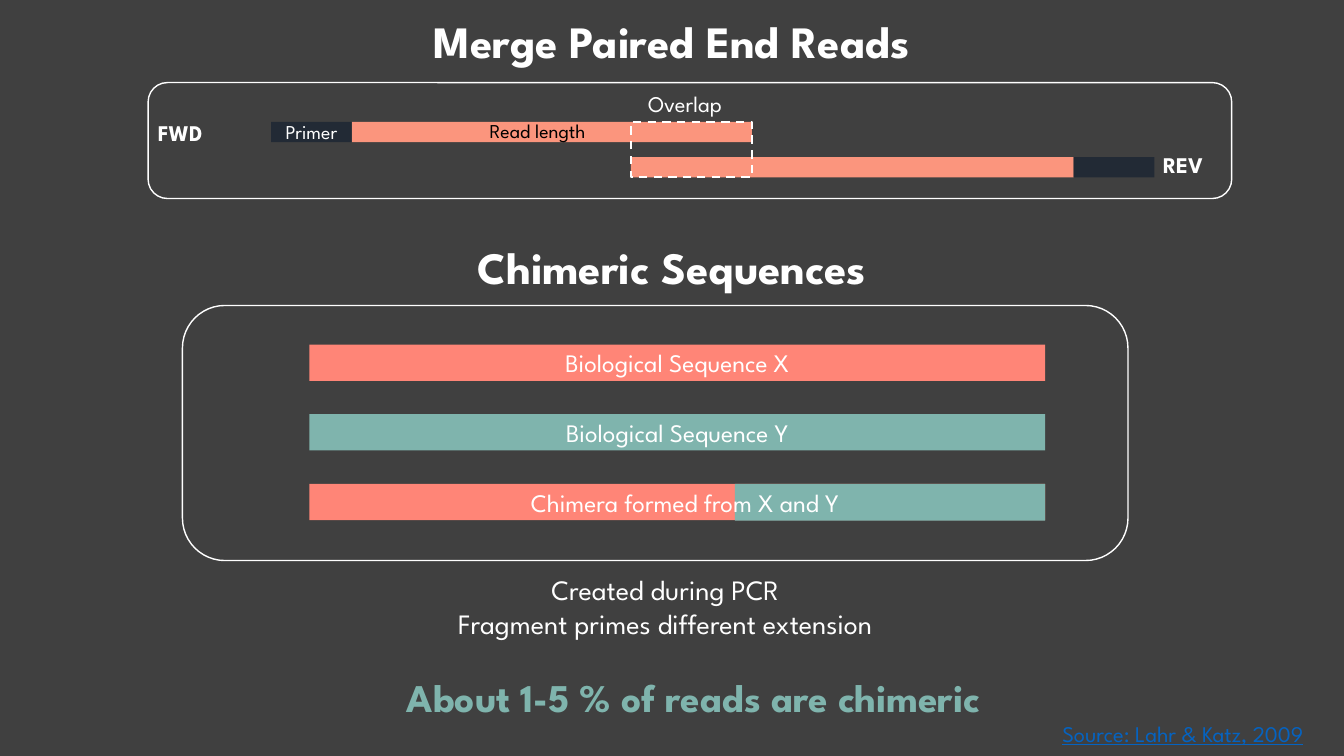
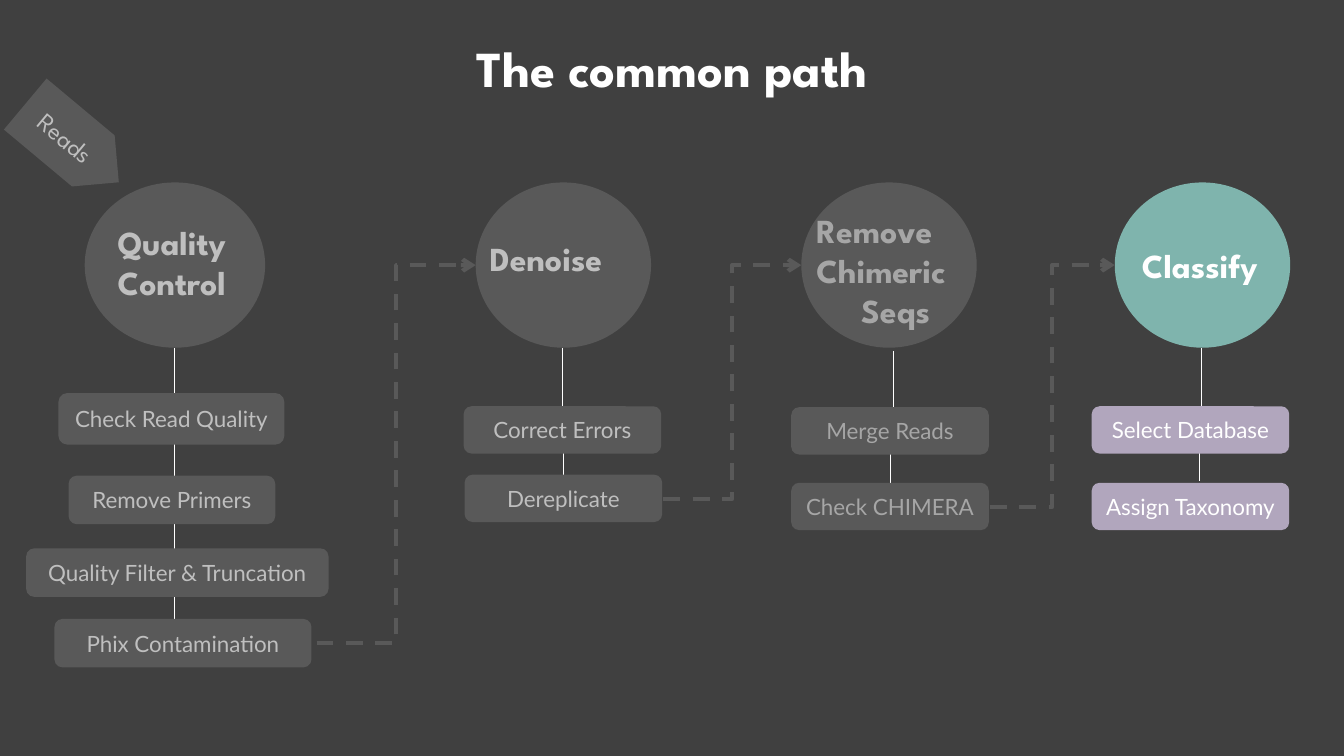
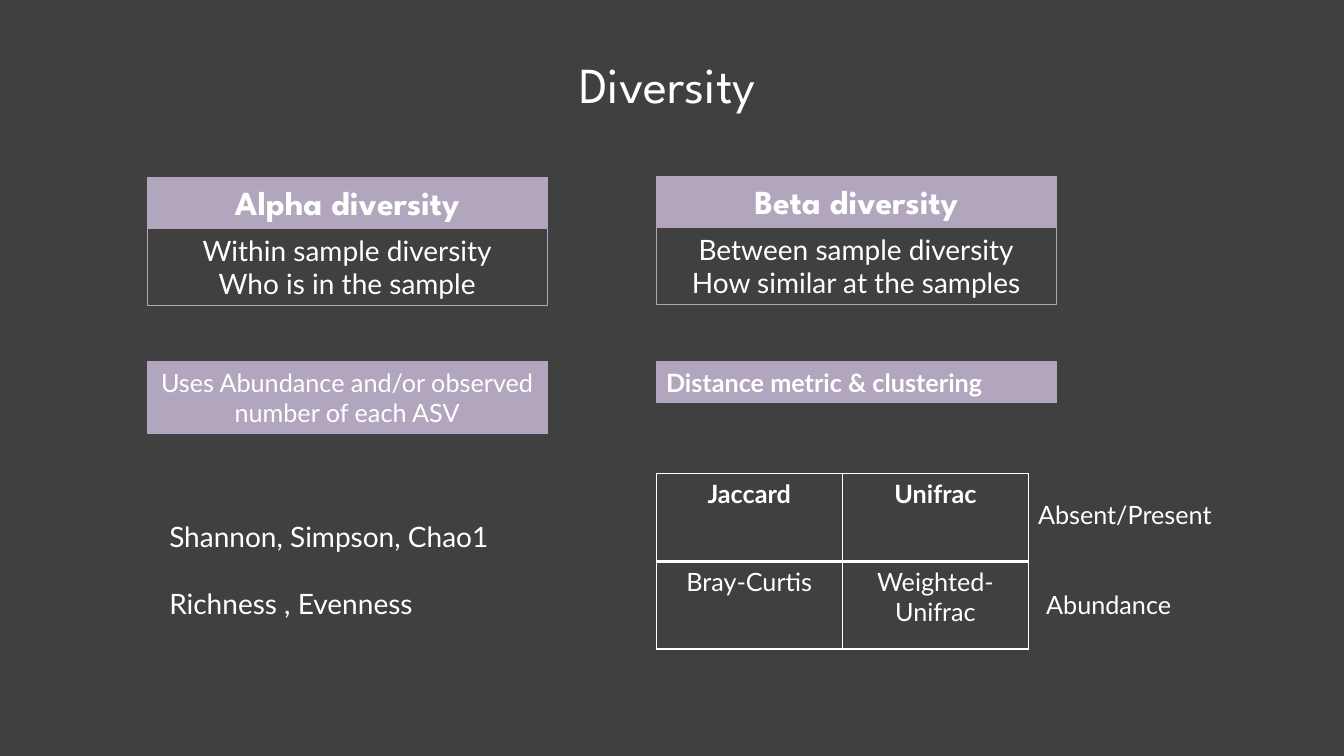
from pptx import Presentation
from pptx.dml.color import RGBColor
from pptx.enum.dml import MSO_LINE_DASH_STYLE as Dash
from pptx.enum.shapes import MSO_CONNECTOR as Link, MSO_SHAPE as Kind
from pptx.enum.text import MSO_ANCHOR as Anchor, PP_ALIGN as Align
from pptx.oxml.ns import qn
from pptx.util import Pt
from lxml.etree import SubElement

# Shared colours and text styles
BACK, WHITE, BLACK = "404040", "FFFFFF", "000000"
CORAL, SALMON, TEAL, NAVY = "FF8577", "FB957D", "7FB4AD", "222A35"
LILAC, GREY, PALE, DIM, BLUE = "B1A6BD", "595959", "BFBFBF", "A6A6A6", "0563C1"


def style(size, name="League Spartan", color=WHITE, **more):
    return {"size": Pt(size), "name": name, "color": color, **more}


def lato(size, color=WHITE, **more):
    return style(size, "Lato", color, **more)


def hue(code):
    return RGBColor.from_string(code)


# Building blocks
def paint(shape, fill=None, line=None, width=1, dash=None):
    if fill:
        shape.fill.solid()
        shape.fill.fore_color.rgb = hue(fill)
    else:
        shape.fill.background()
    if line:
        stroke(shape.line, line, width, dash)
    else:
        shape.line.fill.background()


def stroke(line, color, width, dash=None):
    line.color.rgb = hue(color)
    line.width = Pt(width)
    if dash:
        line.dash_style = dash


def write(frame, lines, look, align=Align.LEFT, gap=0):
    """Put one paragraph per line into the frame."""
    frame.word_wrap = True
    lines = [lines] if isinstance(lines, str) else lines
    for index, words in enumerate(lines):
        para = frame.paragraphs[0] if index == 0 else frame.add_paragraph()
        para.alignment = align
        if index and gap:
            para.space_before = Pt(gap)
        span = para.add_run()
        span.text = words
        for key, value in look.items():
            if key == "color":
                span.font.color.rgb = hue(value)
            else:
                setattr(span.font, key, value)


def add_text(page, box, lines, look, align=Align.LEFT, gap=0):
    label = page.shapes.add_textbox(*map(Pt, box))
    write(label.text_frame, lines, look, align, gap)
    return label


def add_box(page, box, lines=None, look=None, kind=Kind.RECTANGLE,
            align=Align.CENTER, anchor=Anchor.MIDDLE, **finish):
    shape = page.shapes.add_shape(kind, *map(Pt, box))
    shape.shadow.inherit = False
    paint(shape, **finish)
    if lines:
        shape.text_frame.vertical_anchor = anchor
        write(shape.text_frame, lines, look, align)
    return shape


def add_link(page, kind, ends, color, width, dash=None):
    link = page.shapes.add_connector(kind, *map(Pt, ends))
    stroke(link.line, color, width, dash)
    SubElement(link._element.spPr, qn("a:effectLst"))
    return link


def add_stem(page, x1, y1, x2, y2):
    """Draw a line downwards, with a small sideways step if x changes."""
    if x1 == x2:
        add_link(page, Link.STRAIGHT, (x1, y1, x2, y2), WHITE, 0.5)
        return
    mid_x, mid_y = (x1 + x2) / 2, (y1 + y2) / 2
    half_x, half_y = (x2 - x1) / 2, (y2 - y1) / 2
    ends = mid_x - half_y, mid_y + half_x, mid_x + half_y, mid_y - half_x
    stem = add_link(page, Link.ELBOW, ends, WHITE, 0.5)
    stem._element.spPr.find(qn("a:xfrm")).set("rot", "5400000")


def add_arrow(page, ends):
    arrow = add_link(page, Link.ELBOW, ends, GREY, 3, Dash.DASH)
    SubElement(arrow.line._get_or_add_ln(), qn("a:tailEnd"), type="arrow")


def add_title(page, top, words, size=32):
    add_text(page, (0, top, 960, 46), words, style(size, bold=True), Align.CENTER)


def new_page(deck):
    return deck.slides.add_slide(deck.slide_layouts[6])


# Slide 1: merging and chimeras
def merge_panel(page, left, top, width, height):
    forward, reverse, bar = top + 28.1, top + 53.3, 14.4
    add_box(page, (left, top, width, height), kind=Kind.ROUNDED_RECTANGLE, line=WHITE)
    bars = [(145.5, forward, 285.8, SALMON), (344.9, reverse, 30.8, SALMON),
            (375.7, reverse, 30.8, SALMON), (406.5, reverse, 254.7, SALMON),
            (661.2, reverse, 57.6, NAVY)]
    for x, y, length, color in bars:
        add_box(page, (left + x, y, length, bar), fill=color)
    add_box(page, (left + 87.9, forward, 57.6, bar), "Primer", style(14), fill=NAVY)
    labels = [("Overlap", 350, 2.2, 86.4, style(16)),
              ("Read length", 236.9, 22.4, 113, style(14, color=BLACK)),
              ("FWD", 0, 22.4, 59.8, style(16, bold=True)),
              ("REV", 717.9, 45.4, 59.8, style(16, bold=True))]
    for words, x, y, length, look in labels:
        add_text(page, (left + x, top + y, length, 26.6), words, look)
    add_box(page, (left + 344.9, forward, 86.4, reverse + bar - forward),
            line=WHITE, width=1.5, dash=Dash.DASH)


def chimera_panel(page, left, top, width, height):
    add_box(page, (left, top, width, height), kind=Kind.ROUNDED_RECTANGLE, line=WHITE)
    bars = [("Biological Sequence X", CORAL), ("Biological Sequence Y", TEAL), (None, CORAL)]
    for row, (words, color) in enumerate(bars):
        y = top + 28 + row * 49.7
        add_box(page, (left + 90.7, y, 525.6, 25.9), words, style(18), fill=color)
    add_box(page, (left + 394.6, y, 221.7, 26.4), fill=TEAL)
    add_text(page, (left + 241.9, top + 126, 278, 28.8),
             "Chimera formed from X and Y", style(18))


def chimera_slide(deck):
    page = new_page(deck)
    add_title(page, 6.5, "Merge Paired End Reads")
    merge_panel(page, 105.8, 59, 774, 82.8)
    add_title(page, 167.8, "Chimeric Sequences")
    chimera_panel(page, 130.3, 218.2, 675.4, 182.2)
    add_text(page, (144.7, 405.4, 661, 55.4),
             ["Created during PCR", "Fragment primes different extension"],
             style(20), Align.CENTER)
    add_text(page, (130.3, 477.4, 730, 41), "About 1-5 % of reads are chimeric",
             style(28, color=TEAL, bold=True), Align.CENTER)
    add_text(page, (751.7, 511.2, 206, 26.6), "Source: Lahr & Katz, 2009",
             style(16, color=BLUE, underline=True))


# Slide 2: the pipeline; every place is relative to the circle
def stage(page, left, top, width, stem, name, name_box, steps,
          circle=GREY, fill=GREY, ink=PALE):
    start_x, start_y, end_x, end_y = stem
    add_stem(page, left + start_x, top + start_y, left + end_x, top + end_y)
    add_box(page, (left, top, width, 118.1), kind=Kind.OVAL, fill=circle)
    x, y, *size = name_box
    label = add_text(page, (left + x, top + y, *size), name, style(24, color=ink, bold=True))
    for words, x, y, *size in steps:
        add_box(page, (left + x, top + y, *size), words, lato(16, ink),
                Kind.ROUNDED_RECTANGLE, fill=fill)
    return label


def path_slide(deck):
    page = new_page(deck)
    top, small = 130.3, (141.1, 33.8)
    add_title(page, 23, "The common path", 36)
    stage(page, 60.5, top, 128.9, (64.1, 118.1, 64.1, 311.8),
          ["Quality", "Control"], (16.5, 24.5, 100, 65.5),
          [("Check Read Quality", -18.7, 150.5, 161.3, 36.7),
           ("Remove Primers", -11.5, 209.5, 147.6, 34.6),
           ("Quality Filter & Truncation", -41.8, 261.4, 216, 34.6),
           ("Phix Contamination", -21.6, 311.8, 183.6, 34.6)])
    stage(page, 339.8, top, 125.3, (62, 118.1, 62.7, 208.8),
          "Denoise", (2.9, 36, 122.4, 36),
          [("Correct Errors", -8.6, 159.9, *small), ("Dereplicate", -7.9, 208.8, *small)])
    remove = stage(page, 572.4, top, 125.3, (65.5, 120.3, 63.7, 214.6),
                   ["Remove Chimeric", "Seqs"], (3.6, 15.9, 123.1, 94.3),
                   [("Merge Reads", -7.2, 160.6, *small),
                    ("Check CHIMERA", -7.2, 214.6, *small)], ink=DIM)
    remove.text_frame.paragraphs[1]._p.get_or_add_pPr().set("marL", str(Pt(32)))
    stage(page, 796.3, top, 125.3, (61.9, 118.1, 60.5, 213.1),
          "Classify", (12.3, 41.1, 107.3, 36),
          [("Select Database", -16.5, 159.9, *small),
           ("Assign Taxonomy", -16.5, 214.6, *small)],
          circle=TEAL, fill=LILAC, ink=WHITE)
    reads = add_box(page, (7.9, 78.5, 87.1, 47.5), "Reads", style(18, color=PALE),
                    Kind.PENTAGON, fill=GREY)
    reads.rotation = 39.9
    for x1, y1, x2 in [(226.1, 459.4, 339.8), (473.8, 356.4, 572.4), (707, 362.2, 796.3)]:
        add_arrow(page, (x1, y1, x2, 189.4))


# Slide 3: diversity measures
def diversity_card(page, left, top, width, heading, lines):
    frame = {"anchor": Anchor.TOP, "line": LILAC, "width": 0.75}
    add_box(page, (left, top + 36.3, width, 55.4), lines, lato(20), **frame)
    add_box(page, (left, top, width, 36), heading, style(24, bold=True), fill=LILAC, **frame)


def method_bar(page, left, top, width, height, words, look, align):
    add_box(page, (left, top, width, height), words, look, align=align,
            anchor=Anchor.TOP, fill=LILAC, line=LILAC, width=0.75)


def metric_table(page, left, top, width, height):
    rows = [["Jaccard", "Unifrac"], ["Bray-Curtis", "Weighted- Unifrac"]]
    table = page.shapes.add_table(2, 2, *map(Pt, (left, top, width, height))).table
    table.first_row = table.horz_banding = False
    for r, row in enumerate(rows):
        for c, words in enumerate(row):
            cell = table.cell(r, c)
            write(cell.text_frame, words, lato(18, bold=r == 0), Align.CENTER)
            borders = {"lnL": 1, "lnR": 1, "lnT": 3 if r else 1, "lnB": 1 if r else 3}
            for side, weight in borders.items():
                edge = SubElement(cell._tc.get_or_add_tcPr(), qn("a:" + side), w=str(Pt(weight)))
                SubElement(SubElement(edge, qn("a:solidFill")), qn("a:srgbClr"), val=WHITE)
            cell.fill.background()


def diversity_slide(deck):
    page = new_page(deck)
    alpha, beta, width = 105.1, 468.7, 285.8
    add_text(page, (406.8, 34.6, 163.4, 51), "Diversity", style(36))
    diversity_card(page, alpha, 126.7, width, "Alpha diversity",
                   ["Within sample diversity", "Who is in the sample"])
    diversity_card(page, beta, 126, width, "Beta diversity",
                   ["Between sample diversity", "How similar at the samples"])
    method_bar(page, alpha, 258.5, width, 51,
               "Uses Abundance and/or observed number of each ASV", lato(18), Align.CENTER)
    method_bar(page, beta, 258.5, width, 29,
               "Distance metric & clustering", lato(18, bold=True), Align.LEFT)
    add_text(page, (113.8, 367.2, 250, 80),
             ["Shannon, Simpson, Chao1", "Richness , Evenness"], lato(20), gap=24)
    metric_table(page, beta, 338.4, 266, 125.2)
    add_text(page, (734.4, 352.8, 150, 29), "Absent/Present", lato(18))
    add_text(page, (740.2, 417.6, 120, 29), "Abundance", lato(18))


def main():
    deck = Presentation()
    deck.slide_width, deck.slide_height = Pt(960), Pt(540)
    backdrop = deck.slide_master.background.fill
    backdrop.solid()
    backdrop.fore_color.rgb = hue(BACK)
    for build in (chimera_slide, path_slide, diversity_slide):
        build(deck)
    deck.save("out.pptx")


if __name__ == "__main__":
    main()
